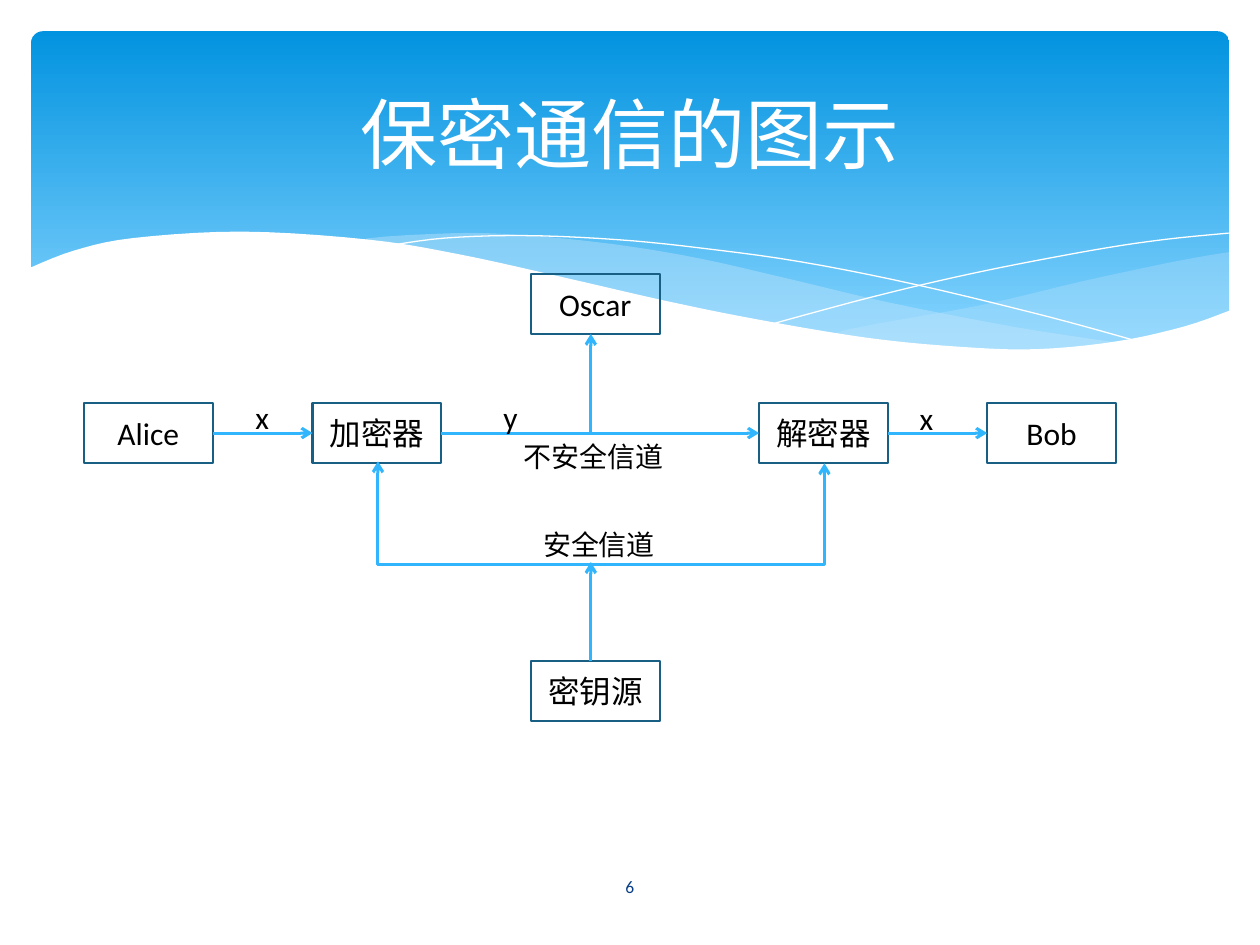
from dataclasses import dataclass

from lxml import etree
from pptx import Presentation
from pptx.dml.color import RGBColor
from pptx.enum.shapes import MSO_CONNECTOR, MSO_SHAPE
from pptx.enum.text import MSO_ANCHOR, PP_ALIGN
from pptx.oxml.ns import qn
from pptx.util import Cm, Pt

STRAIGHT, ELBOW = MSO_CONNECTOR.STRAIGHT, MSO_CONNECTOR.ELBOW
RECTANGLE, ROUNDED = MSO_SHAPE.RECTANGLE, MSO_SHAPE.ROUNDED_RECTANGLE
CENTER, LEFT = PP_ALIGN.CENTER, PP_ALIGN.LEFT
MIDDLE, TOP = MSO_ANCHOR.MIDDLE, MSO_ANCHOR.TOP

FONT = "Calibri"
COLORS = {
    "banner_top": "0293E0",
    "banner_bottom": "83D3FE",
    "wave": "C6E7FC",
    "white": "FFFFFF",
    "text": "000000",
    "number": "073E87",
    "border": "195F84",
    "channel": "31B6FD",
}
NODE_WIDTH, NODE_HEIGHT = 2.6, 1.2
CHANNEL_Y = 8.73
CENTER_X = 11.91

Point = tuple[float, float]


@dataclass
class Node:
    text: str
    left: float
    top: float


@dataclass
class Label:
    text: str
    left: float
    top: float
    width: float
    height: float
    size: float = 18
    color: str = "text"
    align: PP_ALIGN = LEFT
    anchor: MSO_ANCHOR = TOP


@dataclass
class Arrow:
    start: Point
    end: Point


@dataclass
class Wave:
    curve: list[Point]
    color: str
    opacity: int = 100
    corners: tuple[Point, ...] = ()


WAVES = [
    Wave([(24.79, 5.08), (23.75, 5.26), (21.87, 5.66), (19.79, 6.15), (16.79, 6.73),
          (18.26, 6.91), (19.84, 7.04), (21.21, 7.04), (22.58, 6.91), (23.75, 6.65),
          (24.79, 6.27)], "wave", 29),
    Wave([(22.68, 6.93), (20.5, 6.6), (17.93, 6.1), (15.98, 5.64), (14.1, 5.21),
          (12.42, 4.93), (10.67, 4.75), (9.17, 4.7), (7.26, 4.85), (9.19, 5.16),
          (11.4, 5.64), (13.46, 6.1), (15.7, 6.55), (17.65, 6.86), (19.33, 7.04),
          (20.78, 7.06), (22.68, 6.93)], "wave", 40),
]
STRANDS = [
    [(7.85, 4.95), (8.97, 4.8), (10.57, 4.75), (12.42, 4.83), (14.12, 5),
     (16.15, 5.28), (18.47, 5.74), (21.11, 6.38), (23.04, 6.91)],
    [(15.57, 6.53), (17.65, 5.97), (19.71, 5.49), (22, 5.05), (23.47, 4.83), (24.77, 4.7)],
]
WHITE_WAVE = Wave(
    [(0.58, 5.41), (1.5, 5.05), (2.69, 4.8), (4.9, 4.67), (7.42, 4.83), (9.27, 5.13),
     (11.35, 5.59), (13.44, 6.07), (15.32, 6.45), (17.48, 6.81), (19.33, 6.99),
     (20.9, 7.04), (22.53, 6.88), (23.88, 6.58), (24.82, 6.25)],
    "white", corners=((24.82, 8.36), (0.58, 8.36)))

NODES = [
    Node("Alice", 1.69, 8.13), Node("加密器", 6.3, 8.13),
    Node("解密器", 15.3, 8.13), Node("Bob", 19.9, 8.13),
    Node("Oscar", 10.7, 5.53), Node("密钥源", 10.7, 13.33),
]
ARROWS = [
    Arrow((4.29, CHANNEL_Y), (6.3, CHANNEL_Y)),
    Arrow((8.9, CHANNEL_Y), (15.3, CHANNEL_Y)),
    Arrow((17.9, CHANNEL_Y), (19.9, CHANNEL_Y)),
    Arrow((CENTER_X, CHANNEL_Y), (CENTER_X, 6.73)),
    Arrow((CENTER_X, 13.33), (CENTER_X, 11.33)),
]
LABELS = [
    Label("x", 4.9, 7.9, 1, 1.02), Label("y", 9.9, 7.9, 1, 1.02),
    Label("x", 18.29, 7.92, 1, 1.02),
    Label("不安全信道", 10.31, 8.73, 3.6, 0.94, 16),
    Label("安全信道", 10.7, 10.52, 3, 0.94, 16),
    Label("6", 11.08, 17.37, 3.23, 1.02, 10, "number", CENTER, MIDDLE),
]


def rgb(name: str) -> RGBColor:
    return RGBColor.from_string(COLORS[name])


def write(shape, text: str, size: float, color: str, align: PP_ALIGN, anchor: MSO_ANCHOR) -> None:
    frame = shape.text_frame
    frame.word_wrap = True
    frame.vertical_anchor = anchor
    frame.text = text
    paragraph = frame.paragraphs[0]
    paragraph.alignment = align
    paragraph.font.name = FONT
    paragraph.font.size = Pt(size)
    paragraph.font.color.rgb = rgb(color)


def smooth(points: list[Point], steps: int = 5) -> list[Point]:
    padded = [points[0], *points, points[-1]]
    curve = [points[0]]
    for a, b, c, d in zip(padded, padded[1:], padded[2:], padded[3:]):
        for step in range(1, steps + 1):
            t = step / steps
            curve.append(tuple(
                q + t * (r - p) / 2 + t**2 * (2 * p - 5 * q + 4 * r - s) / 2
                + t**3 * (3 * q - p - 3 * r + s) / 2
                for p, q, r, s in zip(a, b, c, d)))
    return curve


def draw_outline(slide, points: list[Point], close: bool):
    vertices = [(Cm(x), Cm(y)) for x, y in points]
    builder = slide.shapes.build_freeform(*vertices[0])
    builder.add_line_segments(vertices[1:], close=close)
    outline = builder.convert_to_shape()
    outline.shadow.inherit = False
    return outline


def draw_wave(slide, wave: Wave) -> None:
    outline = draw_outline(slide, [*smooth(wave.curve), *wave.corners], True)
    outline.fill.solid()
    outline.fill.fore_color.rgb = rgb(wave.color)
    outline.line.fill.background()
    if wave.opacity < 100:
        color = outline._element.spPr.find(f"{qn('a:solidFill')}/{qn('a:srgbClr')}")
        etree.SubElement(color, qn("a:alpha"), val=str(wave.opacity * 1000))


def draw_strand(slide, points: list[Point]) -> None:
    strand = draw_outline(slide, smooth(points), False)
    strand.fill.background()
    strand.line.color.rgb = rgb("white")
    strand.line.width = Pt(0)


def draw_banner(slide) -> None:
    banner = slide.shapes.add_shape(ROUNDED, Cm(0.63), Cm(0.63), Cm(24.15), Cm(6.86))
    banner.adjustments[0] = 0.034
    banner.shadow.inherit = False
    banner.line.fill.background()
    banner.fill.gradient()
    banner.fill.gradient_angle = 270
    stops = zip(banner.fill.gradient_stops, ("banner_top", "banner_bottom"), (0, 0.9))
    for stop, color, position in stops:
        stop.color.rgb = rgb(color)
        stop.position = position


def draw_node(slide, node: Node) -> None:
    box = slide.shapes.add_shape(
        RECTANGLE, Cm(node.left), Cm(node.top), Cm(NODE_WIDTH), Cm(NODE_HEIGHT))
    box.shadow.inherit = False
    box.fill.background()
    box.line.color.rgb = rgb("border")
    box.line.width = Pt(1.25)
    write(box, node.text, 18, "text", CENTER, MIDDLE)


def draw_arrow(slide, arrow: Arrow, kind=STRAIGHT, ends: tuple[str, ...] = ("a:tailEnd",)):
    link = slide.shapes.add_connector(kind, *map(Cm, (*arrow.start, *arrow.end)))
    link.line.color.rgb = rgb("channel")
    link.line.width = Pt(1.75)
    properties = link._element.spPr
    for end in ends:
        etree.SubElement(properties.find(qn("a:ln")), qn(end), type="arrow")
    etree.SubElement(properties, qn("a:effectLst"))
    return link


def draw_key_channel(slide) -> None:
    link = draw_arrow(slide, Arrow((12.14, 4.82), (12.1, 13.82)), ELBOW, ("a:headEnd", "a:tailEnd"))
    properties = link._element.spPr
    properties.find(qn("a:xfrm")).set("rot", "16200000")
    geometry = properties.find(qn("a:prstGeom"))
    guides = geometry.find(qn("a:avLst"))
    if guides is None:
        guides = etree.SubElement(geometry, qn("a:avLst"))
    etree.SubElement(guides, qn("a:gd"), name="adj1", fmla="val 5200000")


def draw_label(slide, label: Label) -> None:
    box = slide.shapes.add_textbox(*map(Cm, (label.left, label.top, label.width, label.height)))
    write(box, label.text, label.size, label.color, label.align, label.anchor)


def main() -> None:
    deck = Presentation()
    deck.slide_width, deck.slide_height = Cm(25.4), Cm(19.05)
    slide = deck.slides.add_slide(deck.slide_layouts[5])
    draw_banner(slide)
    for wave in WAVES:
        draw_wave(slide, wave)
    for strand in STRANDS:
        draw_strand(slide, strand)
    draw_wave(slide, WHITE_WAVE)

    title = slide.shapes.title
    title.left, title.top, title.width, title.height = map(Cm, (1.27, 0.94, 22.86, 3.48))
    write(title, "保密通信的图示", 44, "white", CENTER, MIDDLE)
    slide.shapes._spTree.append(title._element)

    for node in NODES:
        draw_node(slide, node)
    for arrow in ARROWS:
        draw_arrow(slide, arrow)
    draw_key_channel(slide)
    for label in LABELS:
        draw_label(slide, label)
    deck.save("out.pptx")


if __name__ == "__main__":
    main()
